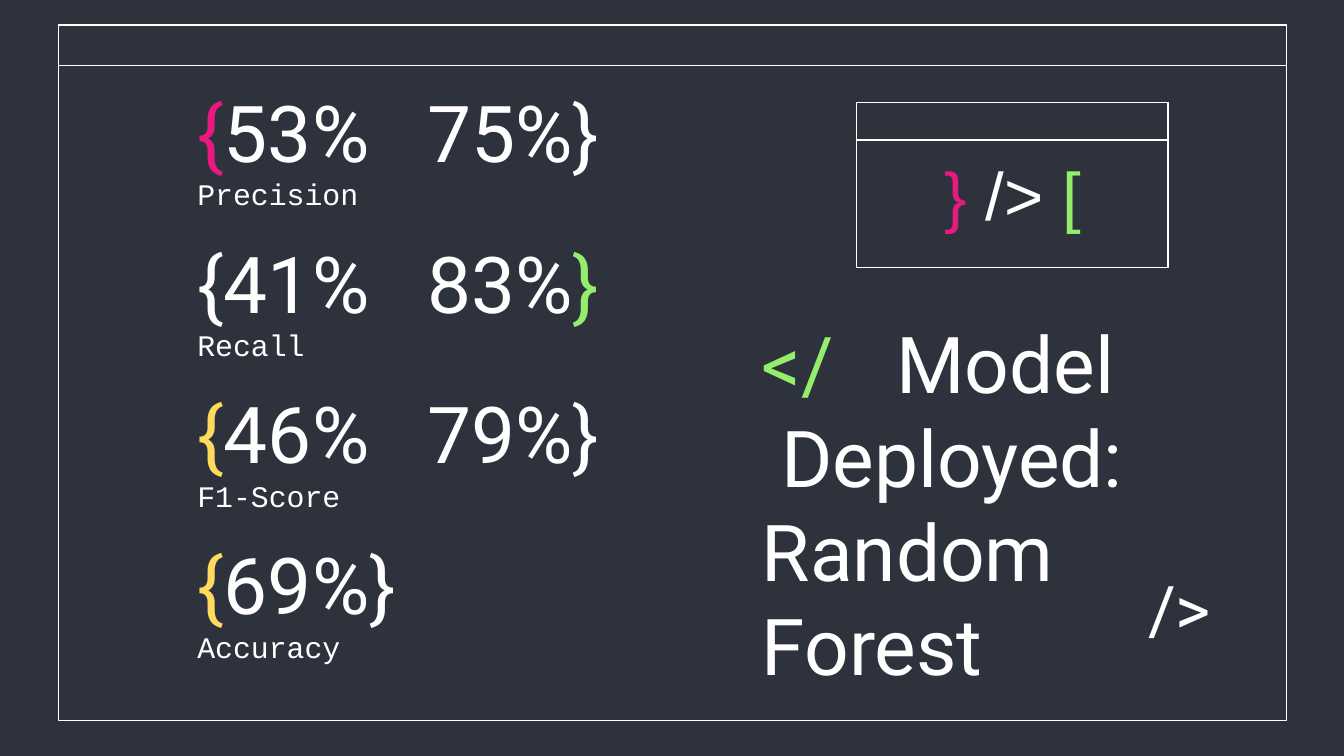
from dataclasses import dataclass

from lxml.etree import SubElement
from pptx import Presentation
from pptx.dml.color import RGBColor
from pptx.enum.shapes import MSO_SHAPE
from pptx.enum.text import MSO_ANCHOR, PP_ALIGN
from pptx.oxml.ns import qn
from pptx.util import Emu, Inches, Pt

DARK = RGBColor(0x2D, 0x32, 0x3C)
WHITE = RGBColor(0xFF, 0xFF, 0xFF)
PINK = RGBColor(0xE8, 0x19, 0x81)
GREEN = RGBColor(0x94, 0xEE, 0x6B)
YELLOW = RGBColor(0xFF, 0xDB, 0x5D)

# A 16:9 slide and its grid: 100 columns by 56.25 rows
deck = Presentation()
deck.slide_width = Inches(10)
deck.slide_height = Emu(deck.slide_width * 9 // 16)
COL = deck.slide_width / 100
ROW = deck.slide_height / 56.25


@dataclass(frozen=True)
class Box:
    """A place on the grid, in columns and rows."""
    left: float
    top: float
    width: float
    height: float

    def place(self) -> tuple[Emu, Emu, Emu, Emu]:
        return (Emu(round(self.left * COL)), Emu(round(self.top * ROW)),
                Emu(round(self.width * COL)), Emu(round(self.height * ROW)))


@dataclass(frozen=True)
class Window:
    box: Box
    bar: float  # height of the title bar, in rows


@dataclass(frozen=True)
class Metric:
    label: str
    runs: list[tuple[str, RGBColor]]


def add_text(slide, box: Box, runs: list[tuple[str, RGBColor]], *,
             font: str = "Roboto", size: float = 42, anchor=MSO_ANCHOR.TOP,
             align=PP_ALIGN.LEFT, spacing: float = 1.0, right: float = 1,
             tab: float | None = None) -> None:
    """Write coloured runs; right is an inset and tab a stop, in columns."""
    frame = slide.shapes.add_textbox(*box.place()).text_frame
    frame.word_wrap = True
    frame.vertical_anchor = anchor
    frame.margin_left = frame.margin_top = frame.margin_bottom = Inches(0.1)
    frame.margin_right = Emu(round(right * COL))
    para = frame.paragraphs[0]
    para.alignment, para.line_spacing = align, spacing
    if tab is not None:
        stops = SubElement(para._p.get_or_add_pPr(), qn("a:tabLst"))
        SubElement(stops, qn("a:tab"), pos=str(round(tab * COL)), algn="l")
    for words, color in runs:
        for i, line in enumerate(words.split("\n")):
            if i:
                para.add_line_break()
            run = para.add_run()
            run.text = line
            run.font.name, run.font.size = font, Pt(size)
            run.font.color.rgb = color


def add_window(slide, win: Window) -> None:
    """Draw an outlined window with a title bar."""
    box = win.box
    for height in (box.height, win.bar):
        part = Box(box.left, box.top, box.width, height)
        rect = slide.shapes.add_shape(MSO_SHAPE.RECTANGLE, *part.place())
        rect.shadow.inherit = False
        rect.fill.solid()
        rect.fill.fore_color.rgb = DARK
        rect.line.color.rgb = WHITE
        rect.line.width = Pt(0.75)


def add_metric(slide, item: Metric, top: float) -> None:
    """Write a value with its label beneath."""
    add_text(slide, Box(13.7, top, 45.8, 8), item.runs,
             anchor=MSO_ANCHOR.BOTTOM, tab=17.1)
    add_text(slide, Box(13.7, top + 5.85, 45.8, 4.2), [(item.label, WHITE)],
             font="Courier New", size=16)


WINDOWS = [
    Window(Box(4.35, 1.87, 91.4, 51.75), 3),
    Window(Box(63.72, 7.62, 23.2, 12.3), 2.8),
]
METRICS = [
    Metric("Precision", [("{", PINK), ("53%\t75%}", WHITE)]),
    Metric("Recall", [("{41%\t83%", WHITE), ("}", GREEN)]),
    Metric("F1-Score", [("{", YELLOW), ("46%\t79%}", WHITE)]),
    Metric("Accuracy", [("{", YELLOW), ("69%}", WHITE)]),
]
FIRST, STEP = 6.23, 11.23  # top of the first metric and the pitch, in rows


def main() -> None:
    slide = deck.slides.add_slide(deck.slide_layouts[6])
    slide.background.fill.solid()
    slide.background.fill.fore_color.rgb = DARK

    # Outer frame and small code window
    for win in WINDOWS:
        add_window(slide, win)
    add_text(slide, Box(68.7, 11.1, 13.3, 8.2),
             [("}", PINK), (" /> ", WHITE), ("[", GREEN)],
             font="Arial", size=36, align=PP_ALIGN.CENTER, spacing=0.9)

    # Metrics on the left
    for i, item in enumerate(METRICS):
        add_metric(slide, item, FIRST + i * STEP)

    # Model name and its closing tag
    add_text(slide, Box(55.7, 22.47, 41.5, 6.3),
             [("</\t", GREEN), ("Model\n Deployed:\nRandom Forest", WHITE)],
             right=3)
    add_text(slide, Box(84.45, 42.3, 7.7, 6.6), [("/>", WHITE)],
             size=36, anchor=MSO_ANCHOR.MIDDLE, spacing=0.9)

    deck.save("out.pptx")


if __name__ == "__main__":
    main()
